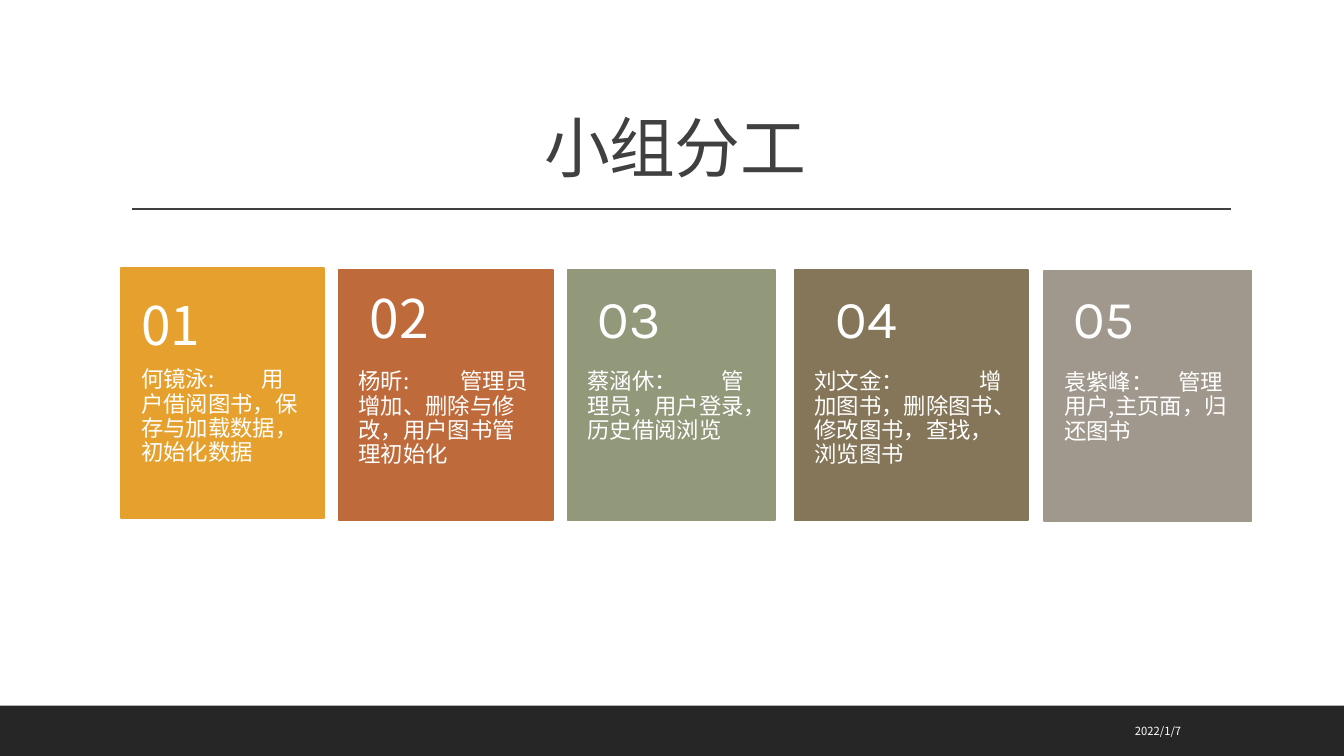
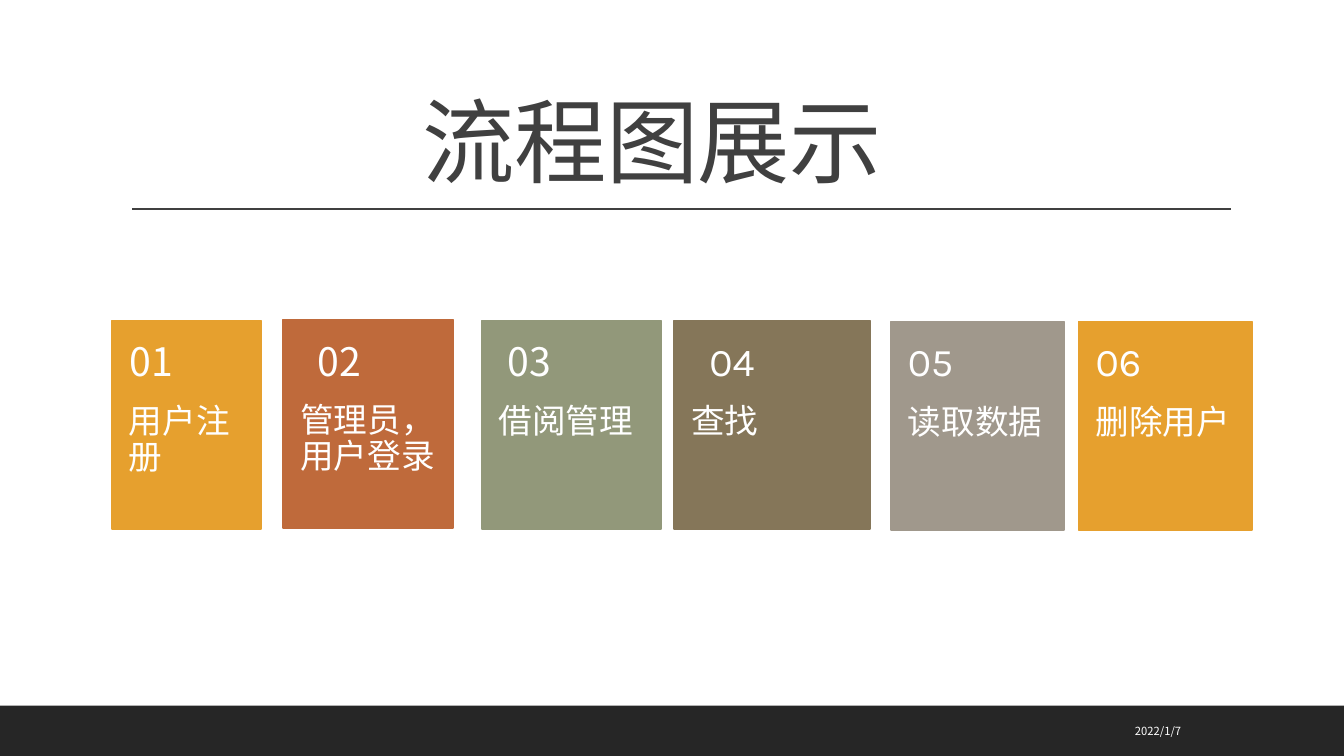
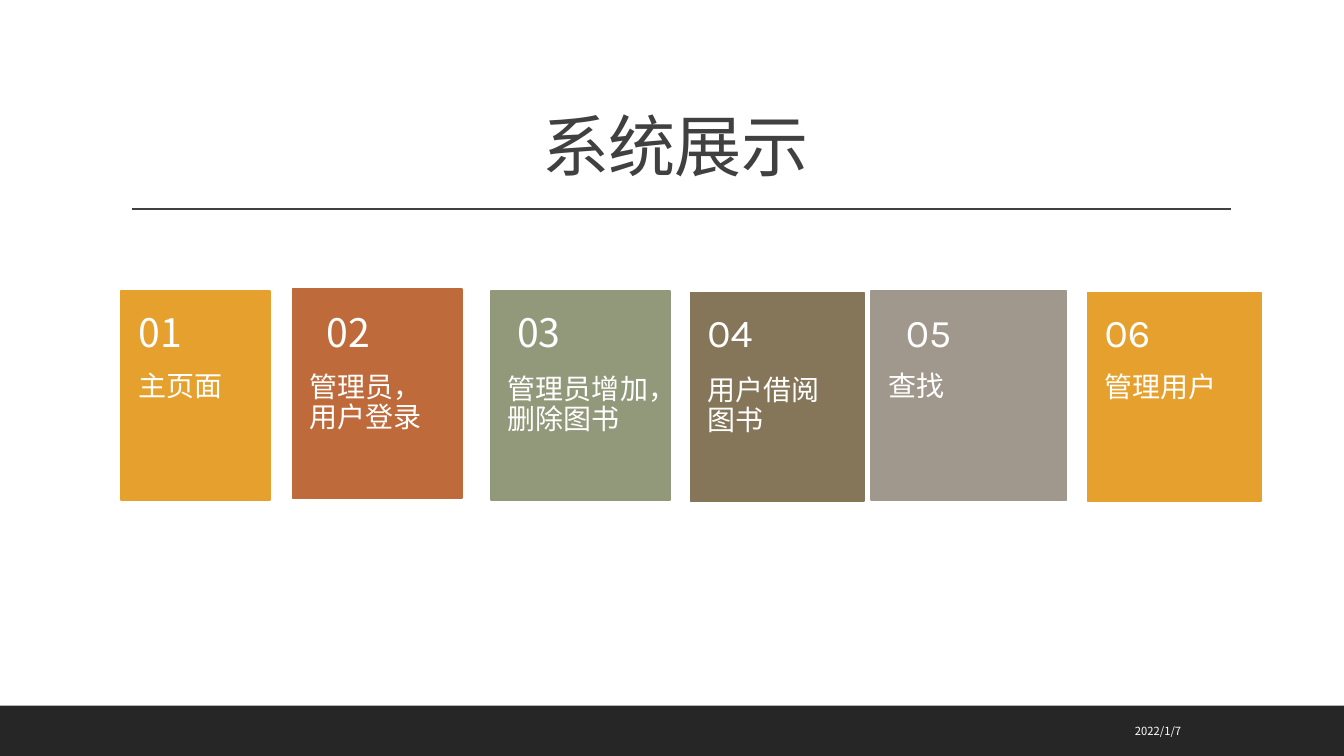
import pptx
import pptx.dml.color
import pptx.enum.shapes
import pptx.enum.text
import pptx.oxml
import pptx.oxml.ns
import pptx.util
from pptx.util import Cm

SANS = "Noto Sans CJK SC"
KARLA = "Karla"
INK, BAND, WHITE = "404040", "262626", "FFFFFF"
CARD_COLOURS = ["E6A02E", "BF6A3B", "92987A", "857659", "A0988C"]
ALIGN = pptx.enum.text.PP_ALIGN
ANCHOR = pptx.enum.text.MSO_ANCHOR
SHAPES = pptx.enum.shapes


def rgb(value):
    return pptx.dml.color.RGBColor.from_string(value)


def add_text(slide, text, left, top, width, height, *, size, font=SANS, color=WHITE,
             align=ALIGN.LEFT, anchor=ANCHOR.TOP, insets=(0.25, 0.13, 0.25, 0.13),
             line_spacing=0.9, tracking=None, tab=None):
    """Add a one-paragraph text box; lengths in cm, insets as left, top, right, bottom."""
    frame = slide.shapes.add_textbox(Cm(left), Cm(top), Cm(width), Cm(height)).text_frame
    frame.word_wrap = True
    frame.vertical_anchor = anchor
    (frame.margin_left, frame.margin_top,
     frame.margin_right, frame.margin_bottom) = map(Cm, insets)
    paragraph = frame.paragraphs[0]
    paragraph.alignment = align
    paragraph.line_spacing = line_spacing
    run = paragraph.add_run()
    run.text = text
    run.font.size = pptx.util.Pt(size)
    run.font.name = font
    run.font.color.rgb = rgb(color)
    properties = run._r.get_or_add_rPr()
    east_asian = pptx.oxml.parse_xml(
        f'<a:ea {pptx.oxml.ns.nsdecls("a")} typeface="{KARLA}"/>')
    properties.find(pptx.oxml.ns.qn("a:latin")).addnext(east_asian)
    if tracking is not None:
        properties.set("spc", str(round(tracking * 100)))
    if tab is not None:
        paragraph._p.get_or_add_pPr().append(pptx.oxml.parse_xml(
            f'<a:tabLst {pptx.oxml.ns.nsdecls("a")}>'
            f'<a:tab pos="{int(Cm(tab))}" algn="l"/></a:tabLst>'))


WIDE_TITLE = dict(left=3.05, top=0.79, width=27.94, align=ALIGN.CENTER)

# Card: text, tab stop, left, top, width, number left, number top, number font
pages = [
    dict(
        title="小组分工", title_format=dict(WIDE_TITLE, size=47),
        card_height=6.3, number_width=5.23, number_height=2.51, number_size=38,
        body_offset=2.53, body_size=16, body_font=SANS, side_inset=0.51,
        cards=[
            ("何镜泳:\t用户借阅图书，保存与加载数据，初始化数据",
             3.02, 3.05, 6.76, 5.11, 3.05, 7.01, SANS),
            ("杨昕:\t管理员增加、删除与修改，用户图书管理初始化",
             2.57, 8.53, 6.81, 5.41, 8.81, 6.83, SANS),
            ("蔡涵休：\t管理员，用户登录，历史借阅浏览",
             3.38, 14.3, 6.81, 5.23, 14.55, 6.83, KARLA),
            ("刘文金：\t增加图书，删除图书、修改图书，查找，浏览图书",
             4.16, 20.02, 6.81, 5.89, 20.55, 6.83, KARLA),
            ("袁紫峰：\t管理用户,主页面，归还图书",
             2.87, 26.31, 6.83, 5.23, 26.54, 6.83, KARLA),
        ]),
    dict(
        title="流程图展示", title_format=dict(left=10.41, top=1.04, width=13.03, size=66),
        card_height=5.26, number_width=4.37, number_height=2.11, number_size=28,
        body_offset=2.11, body_size=24, body_font=KARLA, side_inset=0.43,
        cards=[
            ("用户注册", None, 2.82, 8.08, 3.76, 2.84, 8.1, SANS),
            ("管理员，用户登录", None, 7.14, 8.05, 4.27, 7.57, 8.1, SANS),
            ("借阅管理", None, 12.14, 8.08, 4.52, 12.37, 8.1, SANS),
            ("查找", None, 16.99, 8.08, 4.93, 17.45, 8.1, KARLA),
            ("读取数据", None, 22.45, 8.1, 4.37, 22.45, 8.1, KARLA),
            ("删除用户", None, 27.18, 8.1, 4.37, 27.18, 8.1, KARLA),
        ]),
    dict(
        title="系统展示", title_format=dict(WIDE_TITLE, size=48),
        card_height=5.26, number_width=4.37, number_height=2.11, number_size=28,
        body_offset=2.11, body_size=20, body_font=SANS, side_inset=0.43,
        cards=[
            ("主页面", None, 3.05, 7.34, 3.76, 3.07, 7.37, SANS),
            ("管理员，用户登录", None, 7.37, 7.29, 4.27, 7.8, 7.37, SANS),
            ("管理员增加，删除图书", None, 12.37, 7.34, 4.52, 12.6, 7.37, SANS),
            ("用户借阅图书", None, 17.4, 7.37, 4.37, 17.4, 7.37, KARLA),
            ("查找", None, 21.95, 7.34, 4.93, 22.4, 7.37, KARLA),
            ("管理用户", None, 27.41, 7.37, 4.37, 27.41, 7.37, KARLA),
        ]),
]

deck = pptx.Presentation()
deck.slide_width, deck.slide_height = Cm(33.87), Cm(19.05)

for page in pages:
    slide = deck.slides.add_slide(deck.slide_layouts[6])

    band = slide.shapes.add_shape(SHAPES.MSO_SHAPE.RECTANGLE,
                                  0, Cm(17.78), deck.slide_width, Cm(1.27))
    band.shadow.inherit = False
    band.fill.solid()
    band.fill.fore_color.rgb = rgb(BAND)
    band.line.fill.background()

    title_rule = slide.shapes.add_connector(SHAPES.MSO_CONNECTOR.STRAIGHT,
                                            Cm(3.33), Cm(5.27), Cm(31.01), Cm(5.27))
    title_rule.line.color.rgb = rgb(INK)
    title_rule.line.width = pptx.util.Pt(1)
    title_rule._element.spPr.append(
        pptx.oxml.parse_xml(f'<a:effectLst {pptx.oxml.ns.nsdecls("a")}/>'))

    add_text(slide, page["title"], height=4.04, color=INK, anchor=ANCHOR.BOTTOM,
             tracking=-0.5, **page["title_format"])
    add_text(slide, "2022/1/7", 22.83, 17.91, 7.19, 1.02, size=8,
             align=ALIGN.RIGHT, anchor=ANCHOR.MIDDLE, line_spacing=1.0)

    side = page["side_inset"]
    for index, (duty, tab, left, top, width,
                number_left, number_top, number_font) in enumerate(page["cards"]):
        colour = rgb(CARD_COLOURS[index % len(CARD_COLOURS)])
        card = slide.shapes.add_shape(SHAPES.MSO_SHAPE.RECTANGLE, Cm(left), Cm(top),
                                      Cm(width), Cm(page["card_height"]))
        card.shadow.inherit = False
        card.fill.solid()
        card.fill.fore_color.rgb = colour
        card.line.color.rgb = colour
        card.line.width = pptx.util.Pt(1.25)

        add_text(slide, duty, left, top + page["body_offset"], width,
                 page["card_height"] - page["body_offset"], size=page["body_size"],
                 font=page["body_font"], insets=(side, 0, side, 0.91), tab=tab)
        add_text(slide, f"{index + 1:02}", number_left, number_top,
                 page["number_width"], page["number_height"], size=page["number_size"],
                 font=number_font, anchor=ANCHOR.MIDDLE, insets=(side, 0.46, side, 0.46))

deck.save("out.pptx")
